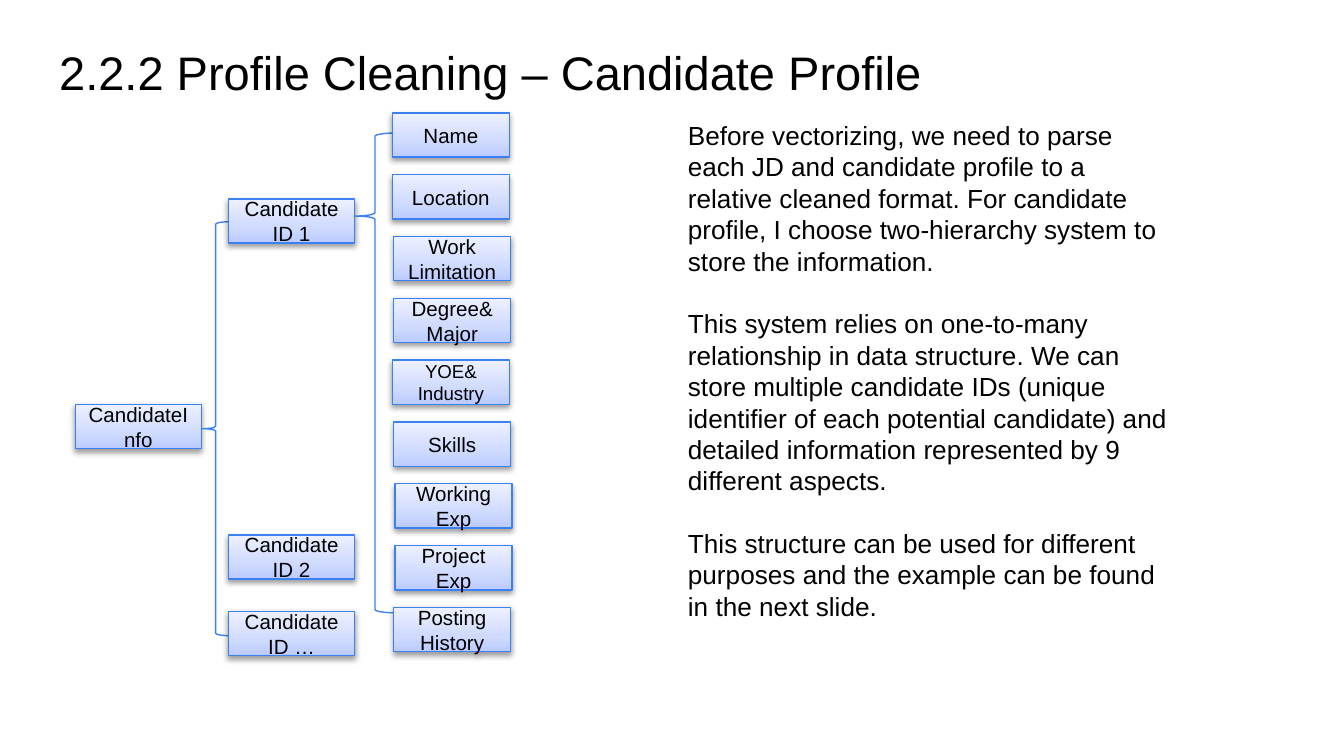
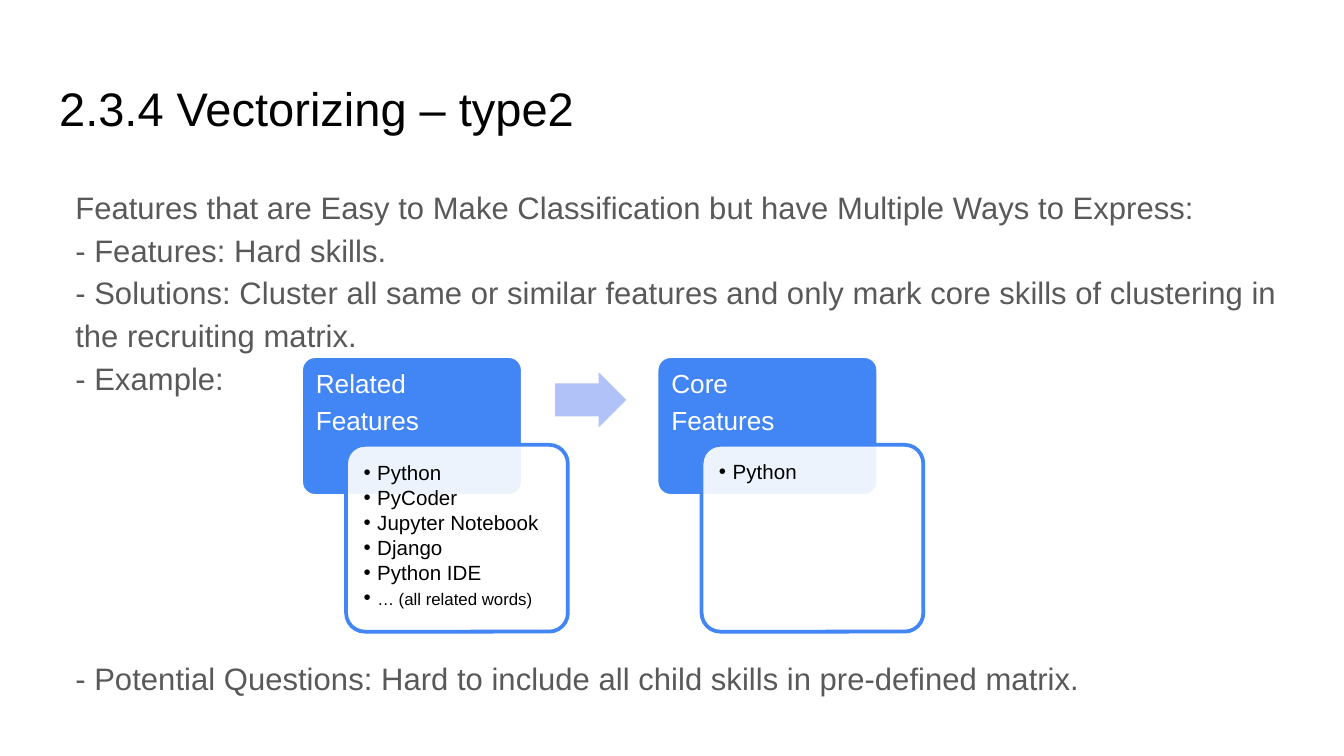
from lxml.etree import SubElement
from pptx import Presentation
from pptx.dml.color import RGBColor
from pptx.enum.shapes import MSO_SHAPE
from pptx.enum.text import MSO_ANCHOR, MSO_AUTO_SIZE, PP_ALIGN
from pptx.oxml.ns import qn
from pptx.util import Inches, Pt

COLORS = {
    "ink": "000000", "body": "595959", "white": "FFFFFF", "accent": "4285F4",
    "node_line": "3C81F3", "arrow": "B0C2F8",
    "node_low": "BBCBFF", "node_mid": "CFDAFF", "node_high": "EDF1FF",
}
FONT = "Arial"
WIDTH = 10
HEIGHT = WIDTH * 9 / 16
COLUMNS = 100
CELL = WIDTH / COLUMNS
LINE_HEIGHT = 1.2
SUMMARY_SIZE = 16.65

FIELDS = [
    (29.2, ["Name"]), (29.2, ["Location"]), (29.3, ["Work Limitation"]),
    (29.3, ["Degree& Major"]), (29.2, ["YOE&", "Industry"]), (29.3, ["Skills"]),
    (29.4, ["Working Exp"]), (29.4, ["Project", "Exp"]), (29.3, ["Posting", "History"]),
]
CANDIDATES = [("Candidate ID 1", 14.8), ("Candidate ID 2", 39.8), ("Candidate ID …", 45.5)]
EXPLANATION = [
    "Before vectorizing, we need to parse each JD and candidate profile to a relative "
    "cleaned format. For candidate profile, I choose two-hierarchy system to store the "
    "information.",
    "This system relies on one-to-many relationship in data structure. We can store multiple "
    "candidate IDs (unique identifier of each potential candidate) and detailed information "
    "represented by 9 different aspects.",
    "This structure can be used for different purposes and the example can be found in the "
    "next slide.",
]
SUMMARY = [
    "Features that are Easy to Make Classification but have Multiple Ways to Express:",
    "- Features: Hard skills.",
    "- Solutions: Cluster all same or similar features and only mark core skills of "
    "clustering in the recruiting matrix.",
    "- Example:",
    "- Potential Questions: Hard to include all child skills in pre-defined matrix.",
]
CARDS = [
    ("Related", [("Python", 11), ("PyCoder", 11), ("Jupyter Notebook", 11), ("Django", 11),
                 ("Python IDE", 11), ("… (all related words)", 9)]),
    ("Core", [("Python", 11)]),
]


def grid(*cells):
    return [Inches(cell * CELL) for cell in cells]


def rgb(name):
    return RGBColor.from_string(COLORS[name])


def add_run(paragraph, text, size, color):
    run = paragraph.add_run()
    run.text = text
    run.font.size = Pt(size)
    run.font.name = FONT
    run.font.color.rgb = rgb(color)


def write(frame, lines, color="ink", inset=None, align=PP_ALIGN.LEFT, spacing=1, after=0):
    frame.word_wrap = True
    if inset:
        (frame.margin_left, frame.margin_top,
         frame.margin_right, frame.margin_bottom) = grid(*inset)
    paragraphs = []
    for index, (text, size) in enumerate(lines):
        paragraph = frame.add_paragraph() if index else frame.paragraphs[0]
        paragraph.alignment = align
        paragraph.line_spacing = spacing
        paragraph.space_before = Pt(0)
        paragraph.space_after = Pt(after)
        add_run(paragraph, text, size, color)
        paragraphs.append(paragraph)
    return paragraphs


def indent(paragraph, left, hanging, bullet=None):
    properties = paragraph._p.get_or_add_pPr()
    properties.set("marL", str(Inches(left)))
    properties.set("indent", str(Inches(-hanging)))
    if bullet:
        tint = SubElement(properties, qn("a:buClr"))
        SubElement(tint, qn("a:srgbClr"), val=COLORS["ink"])
        SubElement(properties, qn("a:buFont"), typeface=FONT)
        SubElement(properties, qn("a:buChar"), char=bullet)
    else:
        SubElement(properties, qn("a:buNone"))


def move(placeholder, cells):
    (placeholder.left, placeholder.top,
     placeholder.width, placeholder.height) = grid(*cells)
    placeholder.text_frame.auto_size = MSO_AUTO_SIZE.NONE


def add_slide(deck, layout, title, top):
    slide = deck.slides.add_slide(deck.slide_layouts.get_by_name(layout))
    move(slide.shapes.title, (3.4, top, 93.2, 6.3))
    write(slide.shapes.title.text_frame, [(title, 25.2)], inset=[1] * 4)
    return slide


def add_figure(shapes, kind, cells, fill=None, line=None, weight=0.75):
    figure = shapes.add_shape(kind, *grid(*cells))
    figure.shadow.inherit = False
    if fill:
        figure.fill.solid()
        figure.fill.fore_color.rgb = rgb(fill)
    else:
        figure.fill.background()
    if line:
        figure.line.color.rgb = rgb(line)
        figure.line.width = Pt(weight)
    else:
        figure.line.fill.background()
    return figure


def shade(node):
    node.fill.gradient()
    gradient = node.element.spPr.find(qn("a:gradFill"))
    stops = gradient.find(qn("a:gsLst"))
    stops.clear()
    for position, name in ((0, "node_low"), (35, "node_mid"), (100, "node_high")):
        stop = SubElement(stops, qn("a:gs"), pos=str(position * 1000))
        SubElement(stop, qn("a:srgbClr"), val=COLORS[name])
    gradient.find(qn("a:lin")).set("ang", str(270 * 60000))
    effects = node.element.spPr.find(qn("a:effectLst"))
    shadow = SubElement(effects, qn("a:outerShdw"), blurRad=str(Pt(3.1)),
                        dist=str(Pt(1.6)), dir=str(90 * 60000), rotWithShape="0")
    tint = SubElement(shadow, qn("a:srgbClr"), val=COLORS["ink"])
    SubElement(tint, qn("a:alpha"), val="38000")


def add_node(shapes, left, top, width, lines, size=11):
    node = add_figure(shapes, MSO_SHAPE.RECTANGLE, (left, top, width, 3.3), line="node_line")
    shade(node)
    node.text_frame.vertical_anchor = MSO_ANCHOR.MIDDLE
    write(node.text_frame, [(line, size) for line in lines], align=PP_ALIGN.CENTER)


def add_brace(shapes, cells, point=0.5):
    brace = add_figure(shapes, MSO_SHAPE.LEFT_BRACE, cells, line="node_line")
    brace.adjustments[1] = point


def add_text(shapes, cells, lines, **style):
    box = shapes.add_textbox(*grid(*cells))
    return box, write(box.text_frame, lines, **style)


def add_rounded(shapes, cells, fill, line):
    panel = add_figure(shapes, MSO_SHAPE.ROUNDED_RECTANGLE, cells, fill, line, 2)
    panel.adjustments[0] = 0.1
    return panel


def add_card(shapes, left, heading, skills):
    add_rounded(shapes, (left, 26.5, 16.5, 10.4), "accent", "white")
    add_text(shapes, (left, 26.5, 16.5, 6.6), [(heading, 14), ("Features", 14)],
             color="white", inset=(1.1, 1.1, 1.1, 0.6), spacing=0.9, after=4.9)
    panel = add_rounded(shapes, (left + 3.35, 33.1, 16.5, 13.9), "white", "accent")
    tint = panel.element.spPr.find(qn("a:solidFill")).find(qn("a:srgbClr"))
    SubElement(tint, qn("a:alpha"), val="90000")
    _, items = add_text(shapes, (left + 3.75, 33.5, 15.7, 13), [(" ", 11) for _ in skills],
                        inset=[0.9] * 4, spacing=0.9, after=1.6)
    for item, (skill, size) in zip(items, skills):
        indent(item, 0.06, 0.06, "•")
        add_run(item, skill, size, "ink")


def build_profile(deck):
    slide = add_slide(deck, "Title Only", "2.2.2 Profile Cleaning – Candidate Profile", 2.2)
    shapes = slide.shapes
    add_node(shapes, 5.6, 30.1, 9.4, ["CandidateInfo"])
    add_brace(shapes, (15, 16.5, 2.1, 30.8))
    for candidate, top in CANDIDATES:
        add_node(shapes, 17, top, 9.4, [candidate])
    add_brace(shapes, (26.4, 9.9, 3, 35.7), 0.173)
    for row, (left, field) in enumerate(FIELDS):
        add_node(shapes, left, 8.4 + 4.6 * row, 8.7, field, 10 if "YOE&" in field else 11)
    box, paragraphs = add_text(shapes, (50.2, 8.4, 37.8, 38.7),
                               [(text, 14) for text in EXPLANATION])
    box.text_frame.auto_size = MSO_AUTO_SIZE.SHAPE_TO_FIT_TEXT
    for paragraph in paragraphs[1:]:
        paragraph.space_before = Pt(14 * LINE_HEIGHT)


def build_vectorizing(deck):
    slide = add_slide(deck, "Title and Content", "2.3.4 Vectorizing – type2", 4.9)
    summary = slide.placeholders[1]
    move(summary, (3.4, 12.6, 93.2, 41.8))
    paragraphs = write(summary.text_frame, [(text, SUMMARY_SIZE) for text in SUMMARY],
                       color="body", inset=[1] * 4, spacing=1.15)
    for paragraph in paragraphs:
        indent(paragraph, 0.12, 0)
    paragraphs[-1].space_before = Pt(6 * SUMMARY_SIZE * LINE_HEIGHT * 1.15)

    example = slide.shapes.add_group_shape().shapes
    for column, (heading, skills) in enumerate(CARDS):
        add_card(example, 22.4 + 26.45 * column, heading, skills)
    arrow = add_figure(example, MSO_SHAPE.RIGHT_ARROW, (41.3, 27.7, 5.3, 4.1), "arrow")
    arrow.adjustments[0] = 0.6


def main():
    deck = Presentation()
    deck.slide_width, deck.slide_height = Inches(WIDTH), Inches(HEIGHT)
    build_profile(deck)
    build_vectorizing(deck)
    deck.save("out.pptx")


if __name__ == "__main__":
    main()
